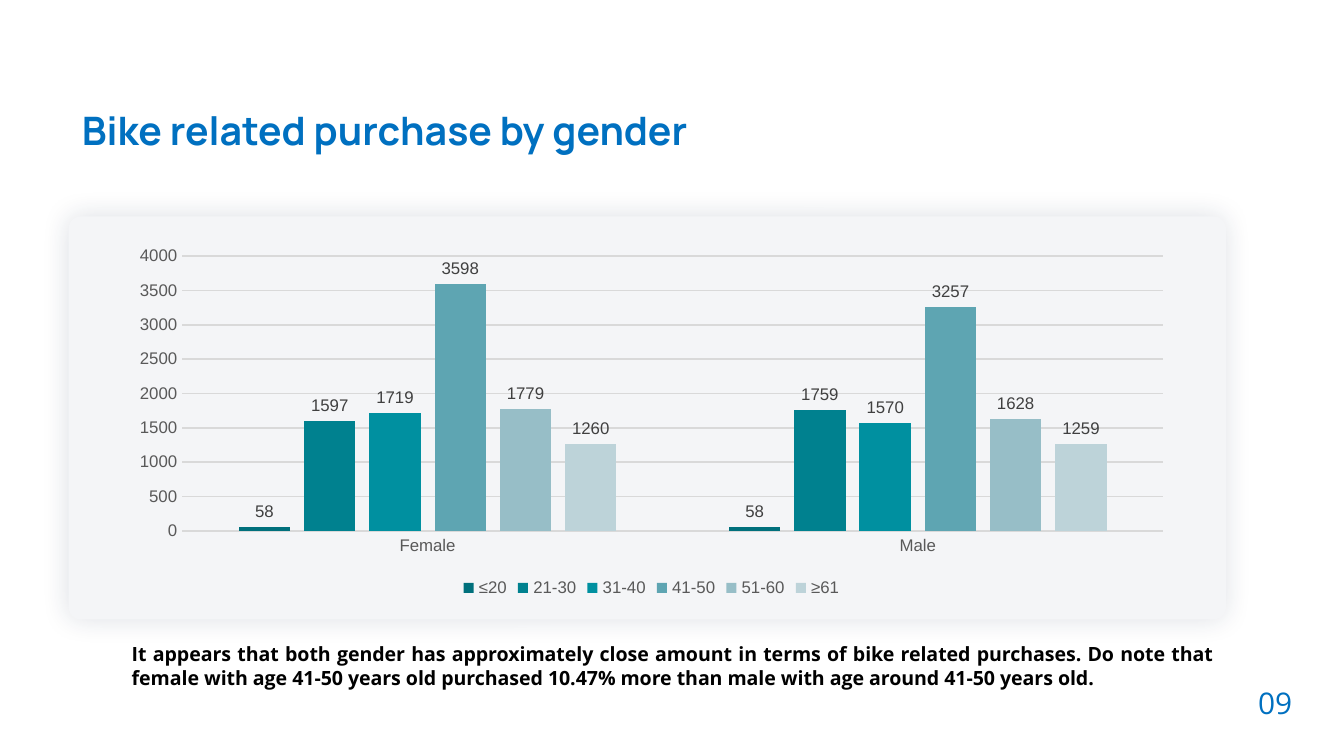
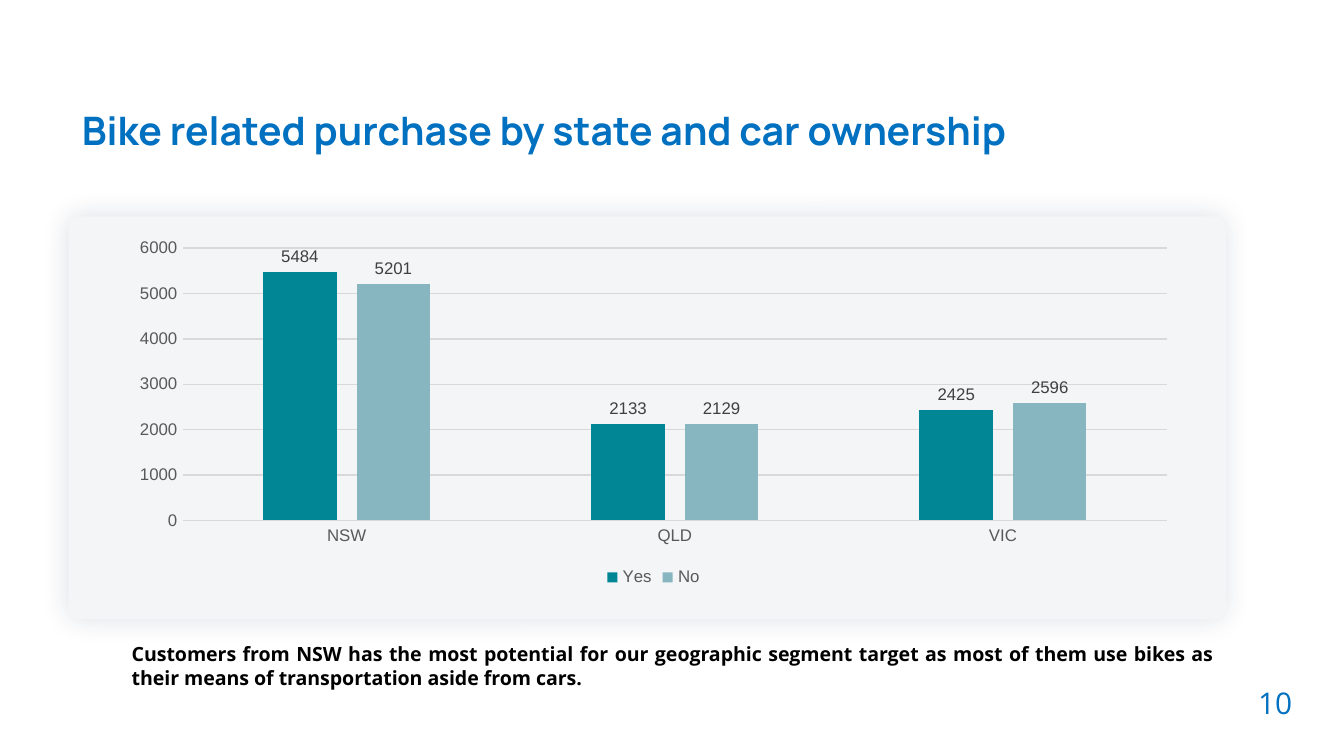
from lxml import etree
from pptx import Presentation
from pptx.chart.data import CategoryChartData
from pptx.dml.color import RGBColor
from pptx.enum import chart as charts, shapes, text
from pptx.oxml.ns import qn
from pptx.util import Cm, Pt

PAGES = [
    {
        "number": "09",
        "title": "Bike related purchase by gender",
        "title_width": 15.24,
        "caption": "It appears that both gender has approximately close amount in terms of "
                   "bike related purchases. Do note that female with age 41-50 years old "
                   "purchased 10.47% more than male with age around 41-50 years old.",
        "chart_box": (2.24, 4.52, 20.14, 6.88),
        "categories": ["Female", "Male"],
        "series": [
            ("≤20", (58, 58), "00707C"),
            ("21-30", (1597, 1759), "00818F"),
            ("31-40", (1719, 1570), "0090A0"),
            ("41-50", (3598, 3257), "5EA5B2"),
            ("51-60", (1779, 1628), "97BEC7"),
            ("≥61", (1260, 1259), "BDD3D9"),
        ],
    },
    {
        "number": "10",
        "title": "Bike related purchase by state and car ownership",
        "title_width": 19.74,
        "caption": "Customers from NSW has the most potential for our geographic segment "
                   "target as most of them use bikes as their means of transportation "
                   "aside from cars.",
        "chart_box": (2.24, 4.37, 20.22, 6.83),
        "categories": ["NSW", "QLD", "VIC"],
        "series": [
            ("Yes", (5484, 2133, 2425), "008694"),
            ("No", (5201, 2129, 2596), "87B6C0"),
        ],
    },
]

ACCENT, BLACK = "0070C0", "000000"
CARD, SHADOW = "F4F5F7", "172B4D"
AXIS_TEXT, LABEL_TEXT, GRID = "595959", "404040", "D9D9D9"
TITLE_FONT, BODY_FONT, CHART_FONT = "Manrope", "Open Sans", "Arial"

CARD_BOX = (1.3, 4.09, 21.87, 7.62)
CAPTION_BOX = (2.24, 12.01, 20.96, 1.14)
NUMBER_BOX = (23.5, 12.52, 1.17, 1.17)


def rgb(color):
    return RGBColor.from_string(color)


def cm(box):
    return [Cm(length) for length in box]


def style_font(font, name, size, color, bold=False):
    font.name = name
    font.size = Pt(size)
    font.bold = bold
    font.color.rgb = rgb(color)


def add_text(slide, box, words, name, size, color, bold=False,
             align=text.PP_ALIGN.LEFT, anchor=text.MSO_ANCHOR.TOP, spacing=None):
    frame = slide.shapes.add_textbox(*cm(box)).text_frame
    frame.word_wrap = True
    frame.auto_size = text.MSO_AUTO_SIZE.SHAPE_TO_FIT_TEXT
    frame.vertical_anchor = anchor
    paragraph = frame.paragraphs[0]
    paragraph.alignment = align
    paragraph.line_spacing = spacing
    run = paragraph.add_run()
    run.text = words
    style_font(run.font, name, size, color, bold)


def add_glow(shape, color, opacity, blur):
    """Put a soft, centred outer shadow around the shape."""
    shape.shadow.inherit = False
    effects = shape._element.spPr.find(qn("a:effectLst"))
    shadow = etree.SubElement(effects, qn("a:outerShdw"), blurRad=str(Pt(blur)),
                              dist="0", algn="ctr", rotWithShape="0")
    tint = etree.SubElement(shadow, qn("a:srgbClr"), val=color)
    etree.SubElement(tint, qn("a:alpha"), val=str(opacity * 1000))


def add_card(slide):
    card = slide.shapes.add_shape(shapes.MSO_SHAPE.ROUNDED_RECTANGLE, *cm(CARD_BOX))
    card.adjustments[0] = 0.03
    card.fill.solid()
    card.fill.fore_color.rgb = rgb(CARD)
    card.line.fill.background()
    add_glow(card, SHADOW, opacity=14, blur=15)


def style_line(line):
    line.color.rgb = rgb(GRID)
    line.width = Pt(0.75)


def style_axes(chart):
    for axis in (chart.category_axis, chart.value_axis):
        axis.major_tick_mark = axis.minor_tick_mark = charts.XL_TICK_MARK.NONE
        style_font(axis.tick_labels.font, CHART_FONT, 9, AXIS_TEXT)
    style_line(chart.category_axis.format.line)
    chart.value_axis.format.line.fill.background()
    chart.value_axis.has_major_gridlines = True
    style_line(chart.value_axis.major_gridlines.format.line)


def add_columns(slide, box, categories, series):
    data = CategoryChartData()
    data.categories = categories
    for name, values, _ in series:
        data.add_series(name, values)
    chart = slide.shapes.add_chart(
        charts.XL_CHART_TYPE.COLUMN_CLUSTERED, *cm(box), data).chart
    style_font(chart.font, CHART_FONT, 10, BLACK)
    chart.has_title = False
    style_axes(chart)

    chart.has_legend = True
    chart.legend.position = charts.XL_LEGEND_POSITION.BOTTOM
    chart.legend.include_in_layout = False
    style_font(chart.legend.font, CHART_FONT, 9, AXIS_TEXT)

    plot = chart.plots[0]
    plot.gap_width, plot.overlap = 219, -27
    plot.vary_by_categories = False
    for columns, (_, _, color) in zip(plot.series, series):
        columns.format.fill.solid()
        columns.format.fill.fore_color.rgb = rgb(color)
        labels = columns.data_labels
        labels.show_value = True
        labels.position = charts.XL_LABEL_POSITION.OUTSIDE_END
        style_font(labels.font, CHART_FONT, 9, LABEL_TEXT)


def add_page(deck, page):
    slide = deck.slides.add_slide(deck.slide_layouts[6])
    add_card(slide)
    add_text(slide, (1.3, 1.88, page["title_width"], 1.14), page["title"],
             TITLE_FONT, 21, ACCENT, bold=True)
    add_text(slide, CAPTION_BOX, page["caption"], BODY_FONT, 10.5, BLACK, bold=True,
             align=text.PP_ALIGN.JUSTIFY)
    add_columns(slide, page["chart_box"], page["categories"], page["series"])
    add_text(slide, NUMBER_BOX, page["number"], BODY_FONT, 16, ACCENT,
             align=text.PP_ALIGN.RIGHT, anchor=text.MSO_ANCHOR.MIDDLE, spacing=1.5)


def main():
    deck = Presentation()
    deck.slide_width, deck.slide_height = Cm(25.4), Cm(14.29)
    for page in PAGES:
        add_page(deck, page)
    deck.save("out.pptx")


if __name__ == "__main__":
    main()
